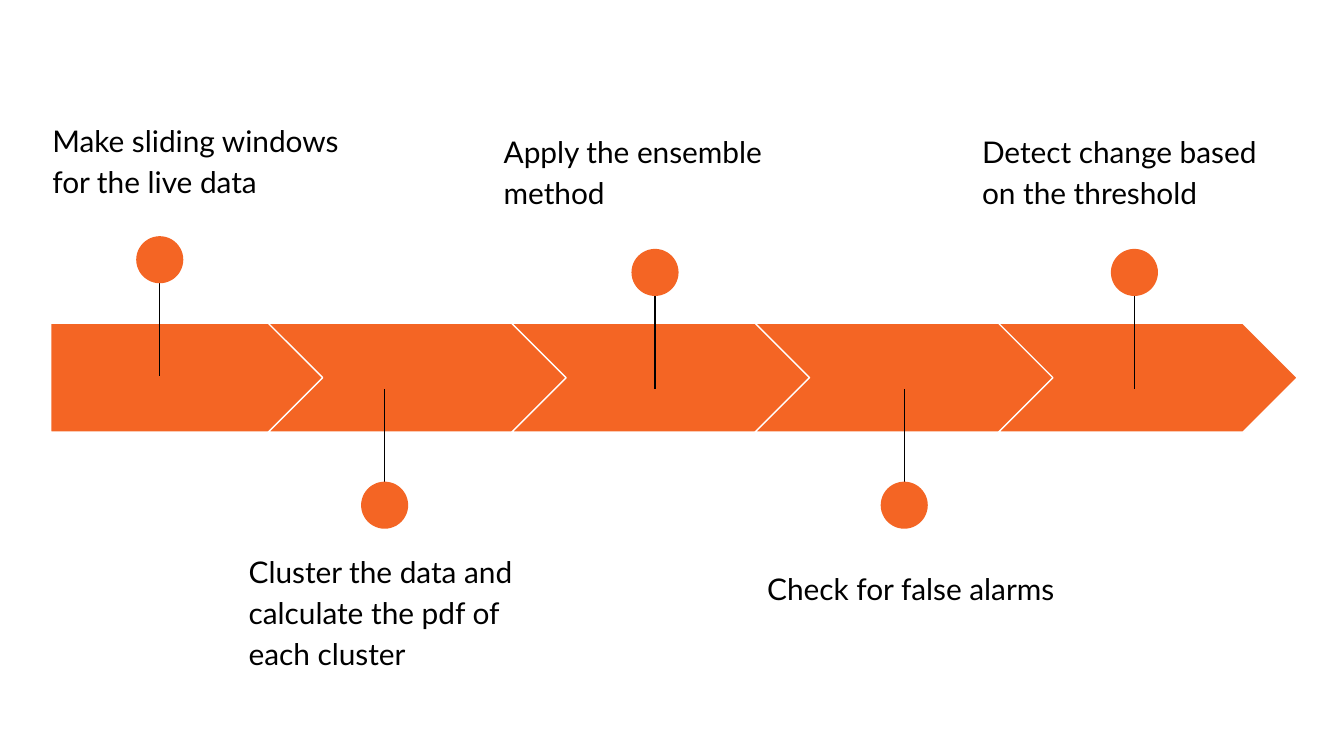
from dataclasses import dataclass

from lxml import etree
from pptx import Presentation
from pptx import util as u
from pptx.dml.color import RGBColor
from pptx.enum import shapes, text
from pptx.oxml.ns import qn
from pptx.slide import Slide


@dataclass(frozen=True)
class Theme:
    band: RGBColor = RGBColor(0xF4, 0x65, 0x24)
    edge: RGBColor = RGBColor(0xFF, 0xFF, 0xFF)
    ink: RGBColor = RGBColor(0x00, 0x00, 0x00)
    font: str = "Lato"
    size: u.Pt = u.Pt(16)
    gap: u.Pt = u.Pt(16)
    line: u.Pt = u.Pt(0.75)


@dataclass(frozen=True)
class Step:
    """Centimetres: pin_x and foot place the pin's end inside the band."""
    label: str
    left: float
    top: float
    pin_x: float
    foot: float = 7.35
    up: bool = True


THEME = Theme()
BAND_TOP, BAND_H = 6.11, 2.06
TAIL_X, TAIL_W = 0.96, 5.15
CHEV_X, CHEV_W, PITCH = 5.07, 5.65, 4.6
DOT, STEM, REACH = 0.89, 2.46, 2.2
LABEL_W, LABEL_H, INSET = 6.22, 2.51, 0.25

STEPS = [
    Step("Make sliding windows for the live data", 0.74, 1.96, 3.02, foot=7.11),
    Step("Cluster the data and calculate the pdf of each cluster",
         4.45, 10.11, 7.27, up=False),
    Step("Apply the ensemble method", 9.27, 2.18, 12.38),
    Step("Check for false alarms", 14.25, 10.44, 17.09, up=False),
    Step("Detect change based on the threshold", 18.31, 2.18, 21.44),
]


def add_shape(slide: Slide, kind: shapes.MSO_SHAPE, x: float, y: float,
              w: float, h: float):
    shape = slide.shapes.add_shape(kind, u.Cm(x), u.Cm(y), u.Cm(w), u.Cm(h))
    shape.shadow.inherit = False
    shape.fill.solid()
    shape.fill.fore_color.rgb = THEME.band
    return shape


def add_arrow(slide: Slide, index: int) -> None:
    """Draw one piece of the band; the first has a flat tail."""
    if index == 0:
        kind, x, w = shapes.MSO_SHAPE.PENTAGON, TAIL_X, TAIL_W
    else:
        kind, w = shapes.MSO_SHAPE.CHEVRON, CHEV_W
        x = CHEV_X + (index - 1) * PITCH
    arrow = add_shape(slide, kind, x, BAND_TOP, w, BAND_H)
    arrow.adjustments[0] = 0.5
    arrow.line.color.rgb = THEME.edge
    arrow.line.width = THEME.line


def add_pin(slide: Slide, step: Step) -> None:
    sign = -1 if step.up else 1
    x = u.Cm(step.pin_x)
    stem = slide.shapes.add_connector(
        shapes.MSO_CONNECTOR.STRAIGHT,
        x, u.Cm(step.foot + sign * STEM), x, u.Cm(step.foot))
    stem.line.color.rgb = THEME.ink
    stem.line.width = THEME.line
    etree.SubElement(stem._element.spPr, qn("a:effectLst"))
    dot = add_shape(slide, shapes.MSO_SHAPE.OVAL, step.pin_x - DOT / 2,
                    step.foot + sign * REACH - DOT / 2, DOT, DOT)
    dot.line.fill.background()


def add_label(slide: Slide, step: Step) -> None:
    """Fill a fresh body placeholder, without its bullet."""
    slide.shapes.clone_placeholder(slide.slide_layout.placeholders[1])
    box = slide.shapes[-1]
    box.left, box.top = u.Cm(step.left), u.Cm(step.top)
    box.width, box.height = u.Cm(LABEL_W), u.Cm(LABEL_H)
    frame = box.text_frame
    frame.text = step.label
    frame.word_wrap = True
    frame.auto_size = text.MSO_AUTO_SIZE.NONE
    frame.vertical_anchor = text.MSO_ANCHOR.TOP
    frame.margin_left = frame.margin_right = u.Cm(INSET)
    frame.margin_top = frame.margin_bottom = u.Cm(INSET)
    para = frame.paragraphs[0]
    para.alignment = text.PP_ALIGN.LEFT
    para.line_spacing = 1.15
    para.space_before = u.Pt(0)
    para.space_after = THEME.gap
    props = para._p.get_or_add_pPr()
    props.set("marL", "0")
    props.set("indent", "0")
    etree.SubElement(props, qn("a:buNone"))
    font = para.runs[0].font
    font.name = THEME.font
    font.size = THEME.size
    font.color.rgb = THEME.ink


def main() -> None:
    deck = Presentation()
    deck.slide_width, deck.slide_height = u.Cm(25.4), u.Cm(14.29)
    slide = deck.slides.add_slide(deck.slide_layouts[1])
    for holder in list(slide.placeholders):
        holder._element.getparent().remove(holder._element)
    for index, step in enumerate(STEPS):
        add_arrow(slide, index)
        add_label(slide, step)
    for step in STEPS:
        add_pin(slide, step)
    deck.save("out.pptx")


if __name__ == "__main__":
    main()
